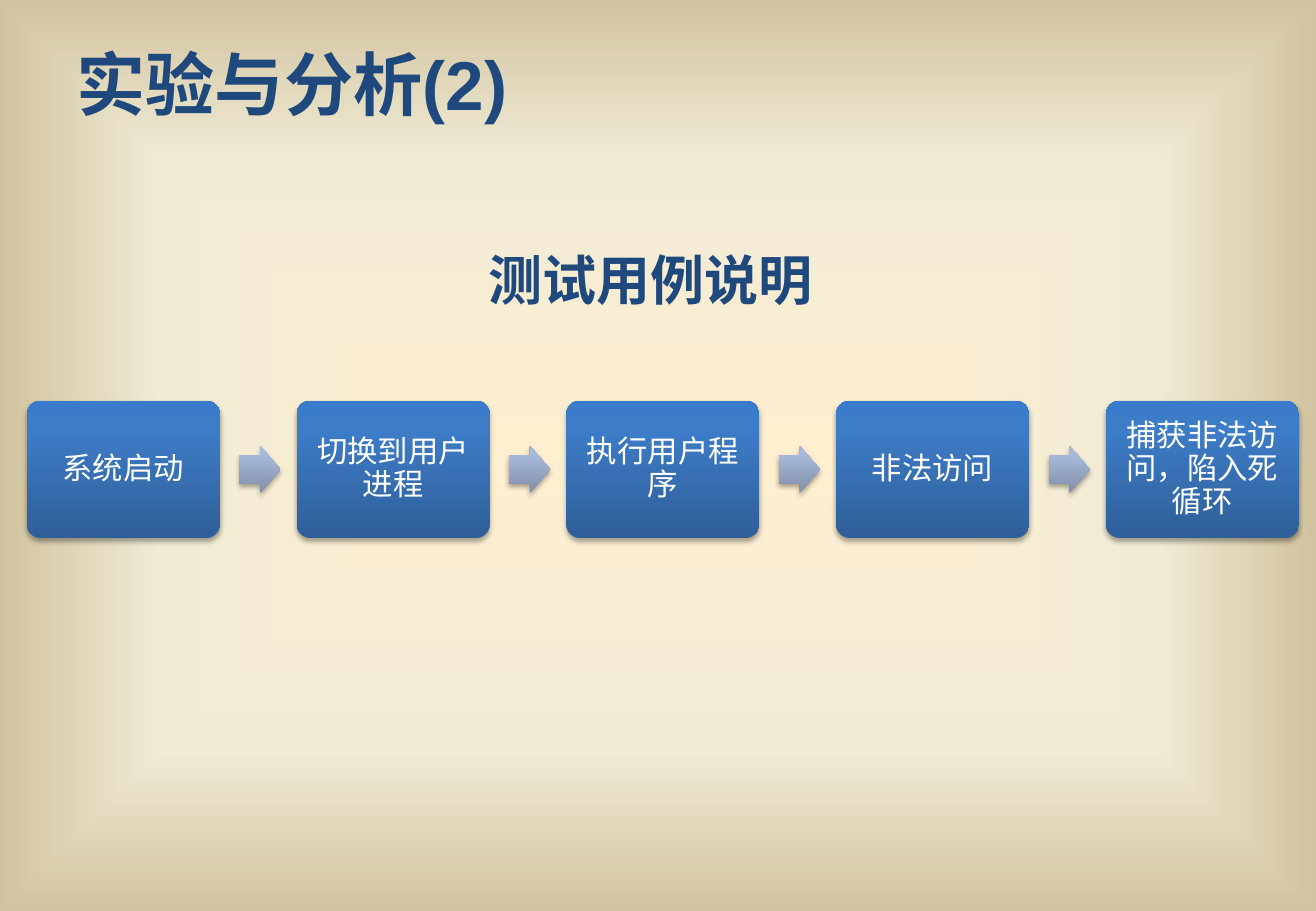
from lxml.etree import SubElement
from pptx import Presentation
from pptx.dml.color import RGBColor
from pptx.enum.shapes import MSO_SHAPE
from pptx.enum.text import MSO_ANCHOR, MSO_AUTO_SIZE, PP_ALIGN
from pptx.oxml.ns import qn
from pptx.util import Inches, Pt

WIDE, HIGH = 10.83, 7.5
LEFT, STEP, MID = 0.22, 2.22, 3.865
NAVY, WHITE = "1F497D", "FFFFFF"
GLOW = [(0, "FFEFD1"), (65, "F0EBD5"), (100, "D1C39F")]
BLUE = [(0, "2F5F99"), (80, "3D7CC7"), (100, "3A7CCB")]
GREY = [(0, "818FA8"), (80, "A7B9DA"), (100, "A7BADC")]
STEPS = ["系统启动", "切换到用户进程", "执行用户程序", "非法访问",
         "捕获非法访问，陷入死循环"]


def color(text):
    return RGBColor.from_string(text)


def node(parent, tag, **attrs):
    item = SubElement(parent, qn(tag))
    for key, value in attrs.items():
        item.set(key, str(value))
    return item


def blend(fill, root, stops, radial=False):
    fill.gradient()
    grad = next(root.iter(qn("a:gradFill")))
    for child in list(grad):
        grad.remove(child)
    items = node(grad, "a:gsLst")
    for place, tint in stops:
        stop = node(items, "a:gs", pos=place * 1000)
        node(stop, "a:srgbClr", val=str(color(tint)))
    if radial:
        shade = node(grad, "a:path", path="shape")
        node(shade, "a:fillToRect", l=50000, t=50000, r=50000, b=50000)
    else:
        node(grad, "a:lin", ang=270 * 60000, scaled=0)


def shade(shape):
    shape.shadow.inherit = False
    effects = shape._element.spPr.find(qn("a:effectLst"))
    drop = node(effects, "a:outerShdw", blurRad=Pt(3.1), dist=Pt(1.8),
                dir=90 * 60000, rotWithShape=0)
    tint = node(drop, "a:srgbClr", val="000000")
    node(tint, "a:alpha", val=35000)


def style(run, size, tint, face="Calibri", bold=False):
    font = run.font
    font.name, font.size, font.bold = face, Pt(size), bold
    font.color.rgb = color(tint)


def block(slide, kind, left, width, height, stops, rates):
    shape = slide.shapes.add_shape(
        kind, Inches(left), Inches(MID - height / 2),
        Inches(width), Inches(height))
    for index, rate in enumerate(rates):
        shape.adjustments[index] = rate
    blend(shape.fill, shape._element.spPr, stops)
    shape.line.fill.background()
    shade(shape)
    return shape


def card(slide, col, text):
    shape = block(slide, MSO_SHAPE.ROUNDED_RECTANGLE, LEFT + col * STEP,
                  1.59, 1.13, BLUE, [0.1])
    frame = shape.text_frame
    frame.text = text
    frame.word_wrap = True
    frame.vertical_anchor = MSO_ANCHOR.MIDDLE
    frame.margin_left = frame.margin_right = Inches(0.07)
    frame.margin_top = frame.margin_bottom = Inches(0.07)
    para = frame.paragraphs[0]
    para.alignment = PP_ALIGN.CENTER
    para.line_spacing = 0.9
    style(para.runs[0], 18, WHITE)


def arrow(slide, col):
    block(slide, MSO_SHAPE.RIGHT_ARROW, LEFT + 1.75 + col * STEP,
          0.34, 0.39, GREY, [0.6, 0.5])


def head(shape, box, parts, size, align):
    shape.left, shape.top, shape.width, shape.height = map(Inches, box)
    frame = shape.text_frame
    frame.word_wrap = True
    frame.auto_size = MSO_AUTO_SIZE.SHAPE_TO_FIT_TEXT
    frame.vertical_anchor = MSO_ANCHOR.TOP
    para = frame.paragraphs[0]
    para.alignment = align
    for text, face in parts:
        run = para.add_run()
        run.text = text
        style(run, size, NAVY, face, True)


def main():
    deck = Presentation()
    deck.slide_width, deck.slide_height = Inches(WIDE), Inches(HIGH)
    slide = deck.slides.add_slide(deck.slide_layouts[5])
    blend(slide.background.fill, slide._element, GLOW, True)
    head(slide.shapes.title, (0.53, 0.29, 9.21, 0.79),
         [("实验与分析", "Calibri"), ("(2)", "Arial")], 41, PP_ALIGN.LEFT)
    label = slide.shapes.add_textbox(0, 0, 0, 0)
    head(label, (2.58, 1.98, 5.55, 0.64),
         [("测试用例说明", "Calibri")], 32, PP_ALIGN.CENTER)
    for col, text in enumerate(STEPS):
        card(slide, col, text)
        if col < len(STEPS) - 1:
            arrow(slide, col)
    deck.save("out.pptx")


main()
